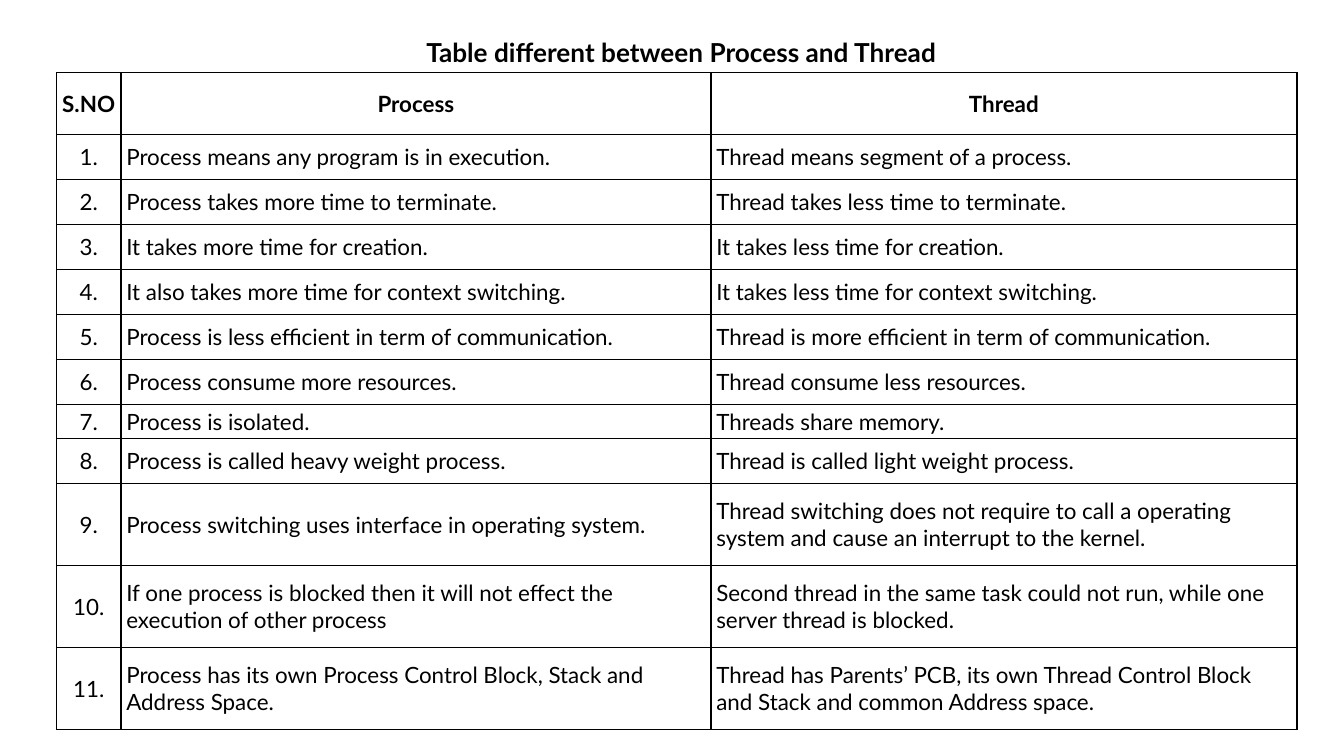
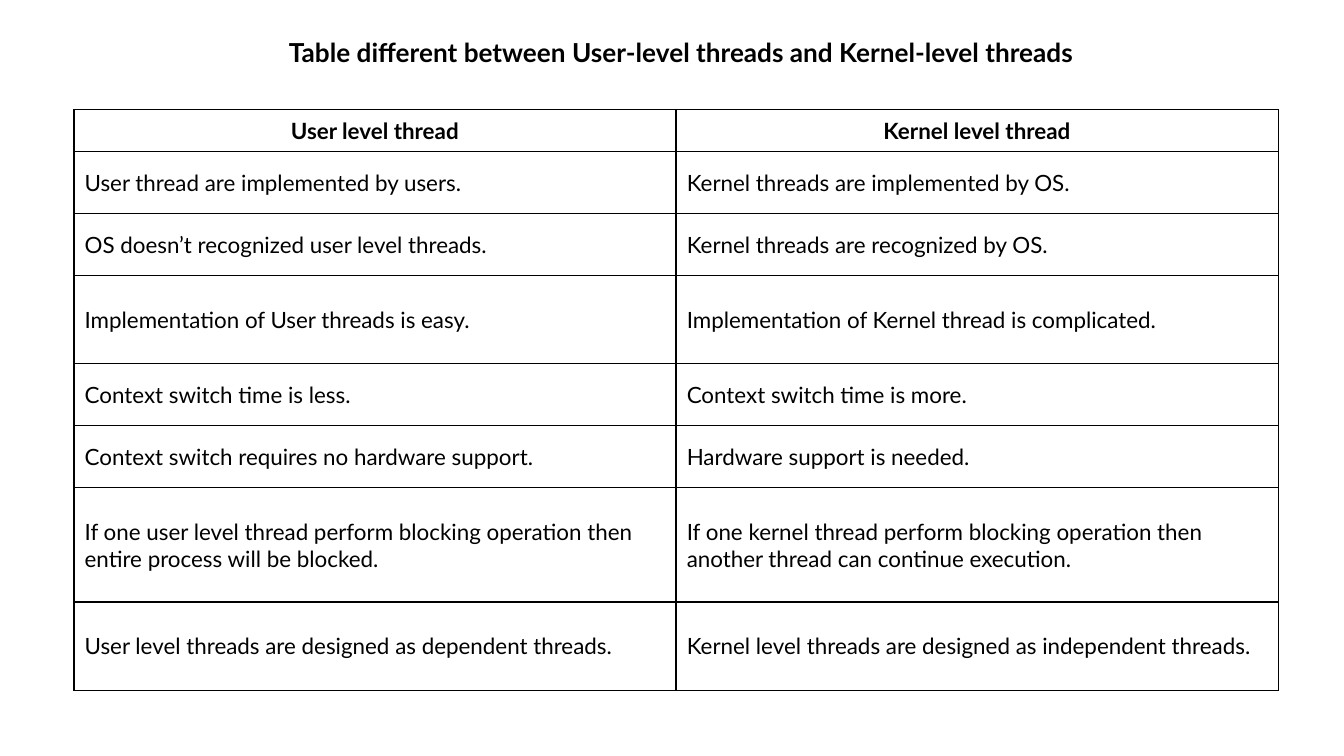
from lxml import etree
from pptx import Presentation
from pptx.dml.color import RGBColor
from pptx.enum.text import MSO_ANCHOR, PP_ALIGN
from pptx.oxml.ns import qn
from pptx.util import Inches, Pt

CENTER, LEFT = PP_ALIGN.CENTER, PP_ALIGN.LEFT
MIDDLE = MSO_ANCHOR.MIDDLE
COLORS = {"ink": "000000"}
FONT = "Lato"
TITLE_SIZE, CELL_SIZE = 14, 12
BORDER_WIDTH = 0.75
SLIDE_WIDTH, SLIDE_HEIGHT = Inches(10), Inches(5.625)

PROCESS_THREAD = [
    ("Process means any program is in execution.", "Thread means segment of a process."),
    ("Process takes more time to terminate.", "Thread takes less time to terminate."),
    ("It takes more time for creation.", "It takes less time for creation."),
    ("It also takes more time for context switching.", "It takes less time for context switching."),
    ("Process is less efficient in term of communication.",
     "Thread is more efficient in term of communication."),
    ("Process consume more resources.", "Thread consume less resources."),
    ("Process is isolated.", "Threads share memory."),
    ("Process is called heavy weight process.", "Thread is called light weight process."),
    ("Process switching uses interface in operating system.",
     "Thread switching does not require to call a operating system and cause an interrupt to the kernel."),
    ("If one process is blocked then it will not effect the execution of other process",
     "Second thread in the same task could not run, while one server thread is blocked."),
    ("Process has its own Process Control Block, Stack and Address Space.",
     "Thread has Parents’ PCB, its own Thread Control Block and Stack and common Address space."),
]

USER_KERNEL = [
    ("User level thread", "Kernel level thread"),
    ("User thread are implemented by users.", "Kernel threads are implemented by OS."),
    ("OS doesn’t recognized user level threads.", "Kernel threads are recognized by OS."),
    ("Implementation of User threads is easy.", "Implementation of Kernel thread is complicated."),
    ("Context switch time is less.", "Context switch time is more."),
    ("Context switch requires no hardware support.", "Hardware support is needed."),
    ("If one user level thread perform blocking operation then entire process will be blocked.",
     "If one kernel thread perform blocking operation then another thread can continue execution."),
    ("User level threads are designed as dependent threads.",
     "Kernel level threads are designed as independent threads."),
]


def across(percent):
    return round(SLIDE_WIDTH * percent / 100)


def down(percent):
    return round(SLIDE_HEIGHT * percent / 100)


def style_paragraph(paragraph, size, bold, alignment):
    paragraph.alignment = alignment
    font = paragraph.font
    font.name, font.size, font.bold = FONT, Pt(size), bold
    font.color.rgb = RGBColor.from_string(COLORS["ink"])


def add_title(slide, text, height):
    title = slide.shapes.add_textbox(across(4.6), down(0.9), across(91.4), down(height))
    frame = title.text_frame
    frame.word_wrap = True
    frame.margin_left = frame.margin_right = frame.margin_top = frame.margin_bottom = Inches(0.1)
    paragraph = frame.paragraphs[0]
    paragraph.text = text
    paragraph.line_spacing = 1.5
    paragraph._p.get_or_add_pPr().set("marL", str(Inches(0.08)))
    style_paragraph(paragraph, TITLE_SIZE, True, CENTER)


def add_borders(cell):
    properties = cell._tc.get_or_add_tcPr()
    for side in ("a:lnL", "a:lnR", "a:lnT", "a:lnB"):
        line = etree.SubElement(properties, qn(side), w=str(Pt(BORDER_WIDTH)))
        fill = etree.SubElement(line, qn("a:solidFill"))
        etree.SubElement(fill, qn("a:srgbClr"), val=COLORS["ink"])


def fill_cell(cell, text, bold, alignment, insets):
    add_borders(cell)
    cell.fill.background()
    cell.vertical_anchor = MIDDLE
    cell.margin_left = cell.margin_right = Inches(insets[0])
    cell.margin_top = cell.margin_bottom = Inches(insets[1])
    cell.text = text
    style_paragraph(cell.text_frame.paragraphs[0], CELL_SIZE, bold, alignment)


def add_comparison(slide, rows, left, top, widths, heights, header_insets, body_insets, numbered=False):
    frame = slide.shapes.add_table(len(rows), len(widths), across(left), down(top),
                                   across(sum(widths)), down(sum(heights)))
    table = frame.table
    table.first_row = table.horz_banding = False
    for column, width in zip(table.columns, widths):
        column.width = across(width)
    for row, height in zip(table.rows, heights):
        row.height = down(height)
    for r, texts in enumerate(rows):
        header = r == 0
        for c, text in enumerate(texts):
            centered = header or (numbered and c == 0)
            fill_cell(table.cell(r, c), text, header, CENTER if centered else LEFT,
                      header_insets if header else body_insets)


def main():
    deck = Presentation()
    deck.slide_width, deck.slide_height = SLIDE_WIDTH, SLIDE_HEIGHT
    blank = deck.slide_layouts[6]

    slide = deck.slides.add_slide(blank)
    add_title(slide, "Table different between Process and Thread", 17.6)
    numbered_rows = [(f"{number}.", *pair) for number, pair in enumerate(PROCESS_THREAD, 1)]
    add_comparison(slide, [("S.NO", "Process", "Thread"), *numbered_rows], 4.2, 9.6,
                   [4.8, 43.9, 43.6], [8.2] + [5.95] * 6 + [4.5, 5.95] + [10.85] * 3,
                   (0.04, 0.02), (0.04, 0.02), numbered=True)

    slide = deck.slides.add_slide(blank)
    add_title(slide, "Table different between User-level threads and Kernel-level threads", 11.9)
    add_comparison(slide, USER_KERNEL, 5.5, 14.5, [44.8] * 2,
                   [5.55, 8.2, 8.2, 11.7, 8.2, 8.2, 15.1, 11.7], (0.07, 0.04), (0.08, 0.11))

    deck.save("out.pptx")


if __name__ == "__main__":
    main()
